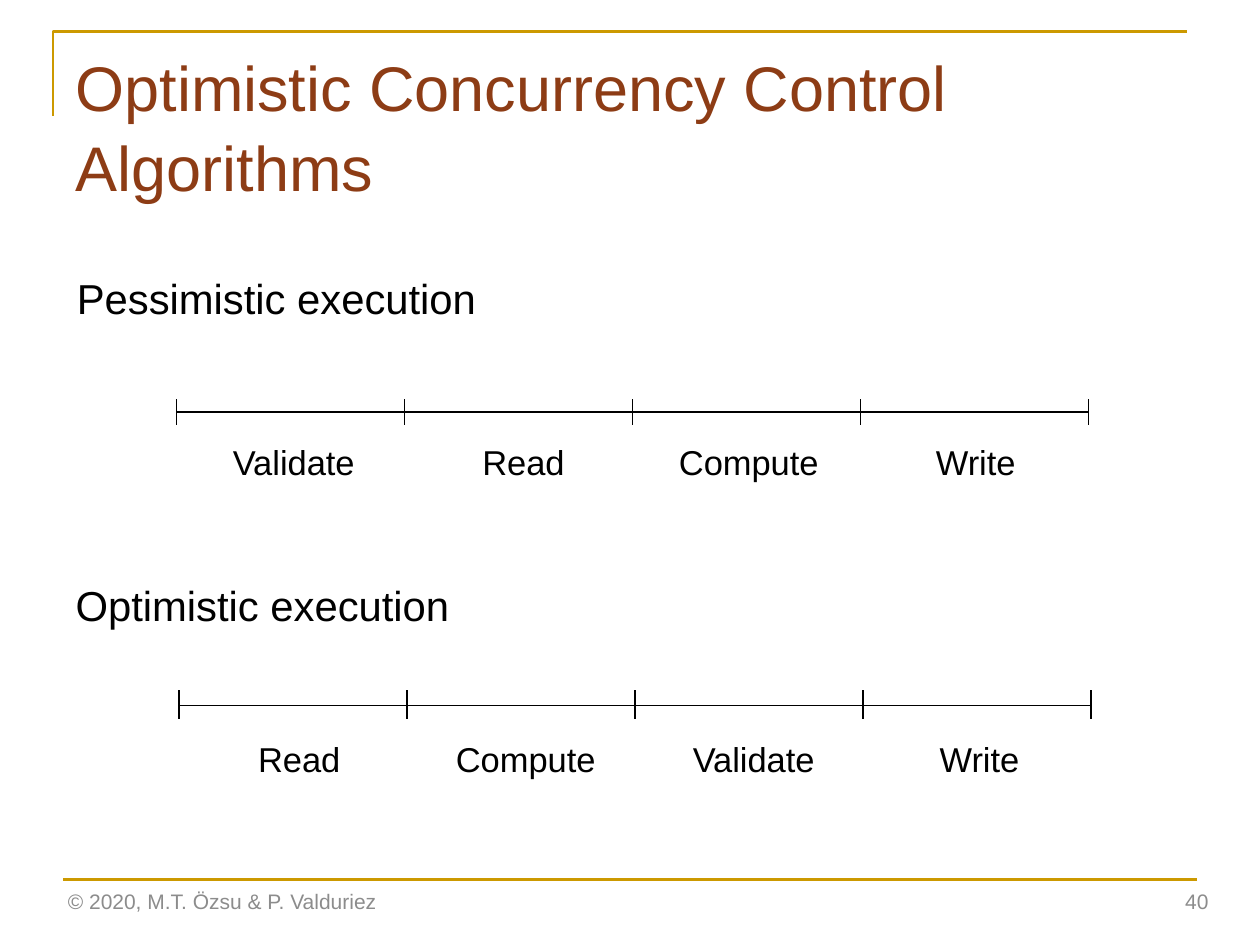
from pptx import Presentation
from pptx.dml.color import RGBColor as Rgb
from pptx.enum.shapes import MSO_CONNECTOR as Conn
from pptx.enum.text import MSO_ANCHOR as Anchor, MSO_AUTO_SIZE as Fit, PP_ALIGN as Align
from pptx.oxml.ns import qn
from pptx.util import Inches, Pt
from lxml.etree import SubElement

COLORS = {"gold": "CC9900", "title": "8D3C15", "ink": "000000", "foot": "8C8C8C"}
FONT = "Arial"
STEP = 1.81
WIDTHS = {"Validate": 1.23, "Read": 0.86, "Compute": 1.34, "Write": 0.84}


class Deck:
    def __init__(self, slide):
        self.slide = slide

    def style(self, frame, size, color, align=Align.LEFT, space=None):
        para = frame.paragraphs[0]
        para.alignment = align
        if space:
            para.line_spacing = space
        for run in para.runs:
            run.font.name = FONT
            run.font.size = Pt(size)
            run.font.color.rgb = Rgb.from_string(COLORS[color])

    def title(self, text, left, top, width, height):
        shape = self.slide.shapes.title
        shape.left, shape.top = Inches(left), Inches(top)
        shape.width, shape.height = Inches(width), Inches(height)
        frame = shape.text_frame
        frame.text = text
        frame.auto_size = Fit.NONE
        frame.vertical_anchor = Anchor.TOP
        self.style(frame, 36, "title", space=1.06)

    def text(self, text, left, top, width, height, size, color="ink",
             pad=(0.1, 0.05), wrap=False, anchor=Anchor.TOP, **look):
        box = self.slide.shapes.add_textbox(
            Inches(left), Inches(top), Inches(width), Inches(height))
        frame = box.text_frame
        frame.text = text
        frame.word_wrap = wrap
        frame.auto_size = Fit.NONE if wrap else Fit.SHAPE_TO_FIT_TEXT
        frame.vertical_anchor = anchor
        frame.margin_left = frame.margin_right = Inches(pad[0])
        frame.margin_top = frame.margin_bottom = Inches(pad[1])
        self.style(frame, size, color, **look)

    def line(self, x1, y1, x2, y2, color="ink", width=1):
        line = self.slide.shapes.add_connector(
            Conn.STRAIGHT, Inches(x1), Inches(y1), Inches(x2), Inches(y2))
        line.line.color.rgb = Rgb.from_string(COLORS[color])
        line.line.width = Pt(width)
        SubElement(line._element.spPr, qn("a:effectLst"))

    def corner(self, left, top, right, bottom):
        path = self.slide.shapes.build_freeform(Inches(left), Inches(bottom))
        path.add_line_segments(
            [(Inches(left), Inches(top)), (Inches(right), Inches(top))], close=False)
        shape = path.convert_to_shape()
        shape.shadow.inherit = False
        shape.fill.background()
        shape.line.color.rgb = Rgb.from_string(COLORS["gold"])
        shape.line.width = Pt(1.5)

    def phases(self, left, axis, top, bottom, row, labels):
        self.line(left, axis, left + 4 * STEP, axis)
        for i in range(5):
            x = left + i * STEP
            self.line(x, top, x, bottom)
        for word, x in labels:
            self.text(word, x, row, WIDTHS[word], 0.43, 19.7)


def main():
    prs = Presentation()
    prs.slide_width, prs.slide_height = Inches(10), Inches(7.5)
    deck = Deck(prs.slides.add_slide(prs.slide_layouts[5]))

    # Frame and title
    deck.corner(0.42, 0.25, 9.42, 0.92)
    deck.line(0.5, 6.98, 9.5, 6.98, "gold", 1.5)
    deck.title("Optimistic Concurrency Control Algorithms", 0.5, 0.3, 9, 1.25)

    # Headings
    head = {"size": 23.9, "pad": (0.07, 0.03), "space": 1.02}
    deck.text("Pessimistic execution", 0.54, 2.13, 3.34, 0.44, **head)
    deck.text("Optimistic execution", 0.53, 4.56, 3.22, 0.46, **head)

    # Phase timelines
    deck.phases(1.4, 3.27, 3.17, 3.37, 3.45, [
        ("Validate", 1.75), ("Read", 3.73), ("Compute", 5.29), ("Write", 7.33)])
    deck.phases(1.42, 5.6, 5.48, 5.71, 5.81, [
        ("Read", 1.95), ("Compute", 3.52), ("Validate", 5.4), ("Write", 7.36)])

    # Footer
    foot = {"size": 12, "color": "foot", "wrap": True, "anchor": Anchor.MIDDLE}
    deck.text("© 2020, M.T. Özsu & P. Valduriez", 0.44, 6.95, 3.38, 0.4, **foot)
    deck.text("40", 7.44, 6.95, 2.25, 0.4, align=Align.RIGHT, **foot)

    prs.save("out.pptx")


if __name__ == "__main__":
    main()
